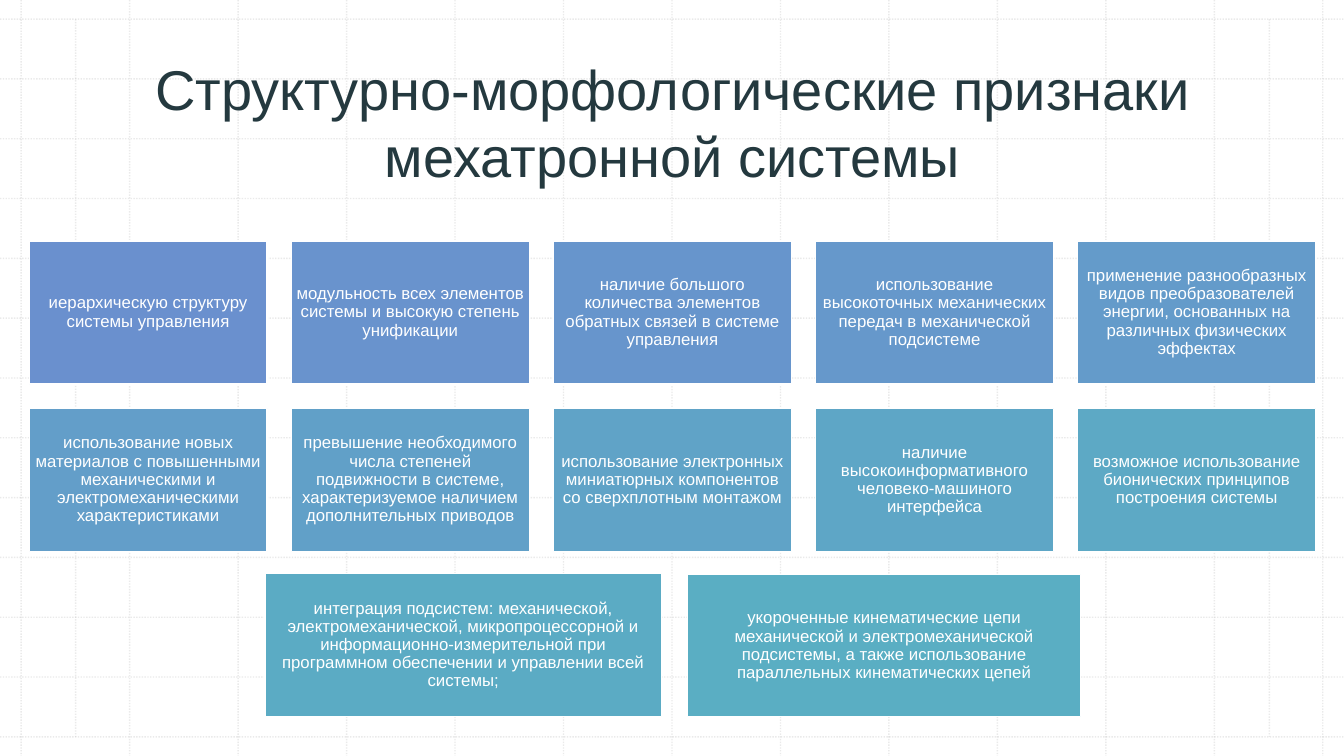
import pptx
import pptx.dml.color
import pptx.enum.dml
import pptx.enum.shapes
import pptx.enum.text
import pptx.oxml.ns
import pptx.util
from lxml import etree

Inches = pptx.util.Inches
Pt = pptx.util.Pt
qn = pptx.oxml.ns.qn

SLIDE_W, SLIDE_H = 13.33, 7.5


def rgb(value):
    return pptx.dml.color.RGBColor.from_string(value)


def blend(start, end, t):
    """Colour at fraction t between two hex colours."""
    pairs = [(int(start[i:i + 2], 16), int(end[i:i + 2], 16)) for i in (0, 2, 4)]
    return "".join(f"{round(a + (b - a) * t):02X}" for a, b in pairs)


class Deck:
    font = "Arial"
    title_color = "24393F"
    card_text = "FFFFFF"
    card_line = "FFFFFF"
    grid_color = "BCBCBC"
    grid_alpha = 30

    def __init__(self):
        self.prs = pptx.Presentation()
        self.prs.slide_width = Inches(SLIDE_W)
        self.prs.slide_height = Inches(SLIDE_H)
        self.slide = self.prs.slides.add_slide(self.prs.slide_layouts[6])

    def grid_line(self, x1, y1, x2, y2):
        line = self.slide.shapes.add_connector(
            pptx.enum.shapes.MSO_CONNECTOR.STRAIGHT,
            Inches(x1), Inches(y1), Inches(x2), Inches(y2))
        line.line.color.rgb = rgb(self.grid_color)
        line.line.width = Pt(1)
        line.line.dash_style = pptx.enum.dml.MSO_LINE.ROUND_DOT
        sp_pr = line._element.spPr
        color = sp_pr.find(".//" + qn("a:srgbClr"))
        etree.SubElement(color, qn("a:alpha")).set("val", str(self.grid_alpha * 1000))
        etree.SubElement(sp_pr, qn("a:effectLst"))

    def set_text(self, sp, text, size, color, anchor):
        tf = sp.text_frame
        tf.word_wrap = True
        tf.vertical_anchor = anchor
        p = tf.paragraphs[0]
        p.text = text
        p.alignment = pptx.enum.text.PP_ALIGN.CENTER
        p.font.name = self.font
        p.font.size = Pt(size)
        p.font.color.rgb = rgb(color)
        return tf

    def title(self, text, x, y, w, h):
        sp = self.slide.shapes.add_textbox(Inches(x), Inches(y), Inches(w), Inches(h))
        self.set_text(sp, text, 40, self.title_color, pptx.enum.text.MSO_ANCHOR.BOTTOM)

    def card(self, text, fill, x, y, w, h):
        sp = self.slide.shapes.add_shape(
            pptx.enum.shapes.MSO_SHAPE.RECTANGLE,
            Inches(x), Inches(y), Inches(w), Inches(h))
        sp.shadow.inherit = False
        sp.fill.solid()
        sp.fill.fore_color.rgb = rgb(fill)
        sp.line.color.rgb = rgb(self.card_line)
        sp.line.width = Pt(1)
        tf = self.set_text(sp, text, 12, self.card_text, pptx.enum.text.MSO_ANCHOR.MIDDLE)
        tf.margin_left = tf.margin_right = tf.margin_top = tf.margin_bottom = Inches(0.05)
        tf.paragraphs[0].line_spacing = 0.9


FEATURES = [
    "иерархическую структуру системы управления",
    "модульность всех элементов системы и высокую степень унификации",
    "наличие большого количества элементов обратных связей в системе управления",
    "использование высокоточных механических передач в механической подсистеме",
    "применение разнообразных видов преобразователей энергии, основанных на различных "
    "физических эффектах",
    "использование новых материалов с повышенными механическими и электромеханическими "
    "характеристиками",
    "превышение необходимого числа степеней подвижности в системе, характеризуемое "
    "наличием дополнительных приводов",
    "использование электронных миниатюрных компонентов со сверхплотным монтажом",
    "наличие высокоинформативного человеко-машиного интерфейса",
    "возможное использование бионических принципов построения системы",
    "интеграция подсистем: механической, электромеханической, микропроцессорной и "
    "информационно-измерительной при программном обеспечении и управлении всей системы;",
    "укороченные кинематические цепи механической и электромеханической подсистемы, "
    "а также использование параллельных кинематических цепей",
]


def main():
    deck = Deck()

    # Background grid: 12 equal steps each way, plus two inner margins
    left, right, top, bottom, steps = 0.21, 13.12, 0.19, 7.31, 12
    for i in range(steps + 1):
        x = left + (right - left) * i / steps
        y = top + (bottom - top) * i / steps
        deck.grid_line(x, 0, x, SLIDE_H)
        deck.grid_line(0, y, SLIDE_W, y)
    for x in (0.75, 12.59):
        deck.grid_line(x, top, x, bottom)

    # Feature cards: two rows of five, then two wide cards
    columns = 5
    places = [(0.29 + 2.6 * (i % columns), 2.39 + 1.66 * (i // columns), 2.36, 1.42)
              for i in range(2 * columns)]
    places += [(2.63, 5.69, 3.93, 1.42), (6.82, 5.7, 3.9, 1.41)]
    for i, (text, place) in enumerate(zip(FEATURES, places)):
        fill = blend("6A90CE", "5AAEC3", i / (len(FEATURES) - 1))
        deck.card(text, fill, *place)

    # Title
    deck.title("Структурно-морфологические признаки мехатронной системы",
               0.57, 0.47, 12.2, 1.45)

    deck.prs.save("out.pptx")


if __name__ == "__main__":
    main()
